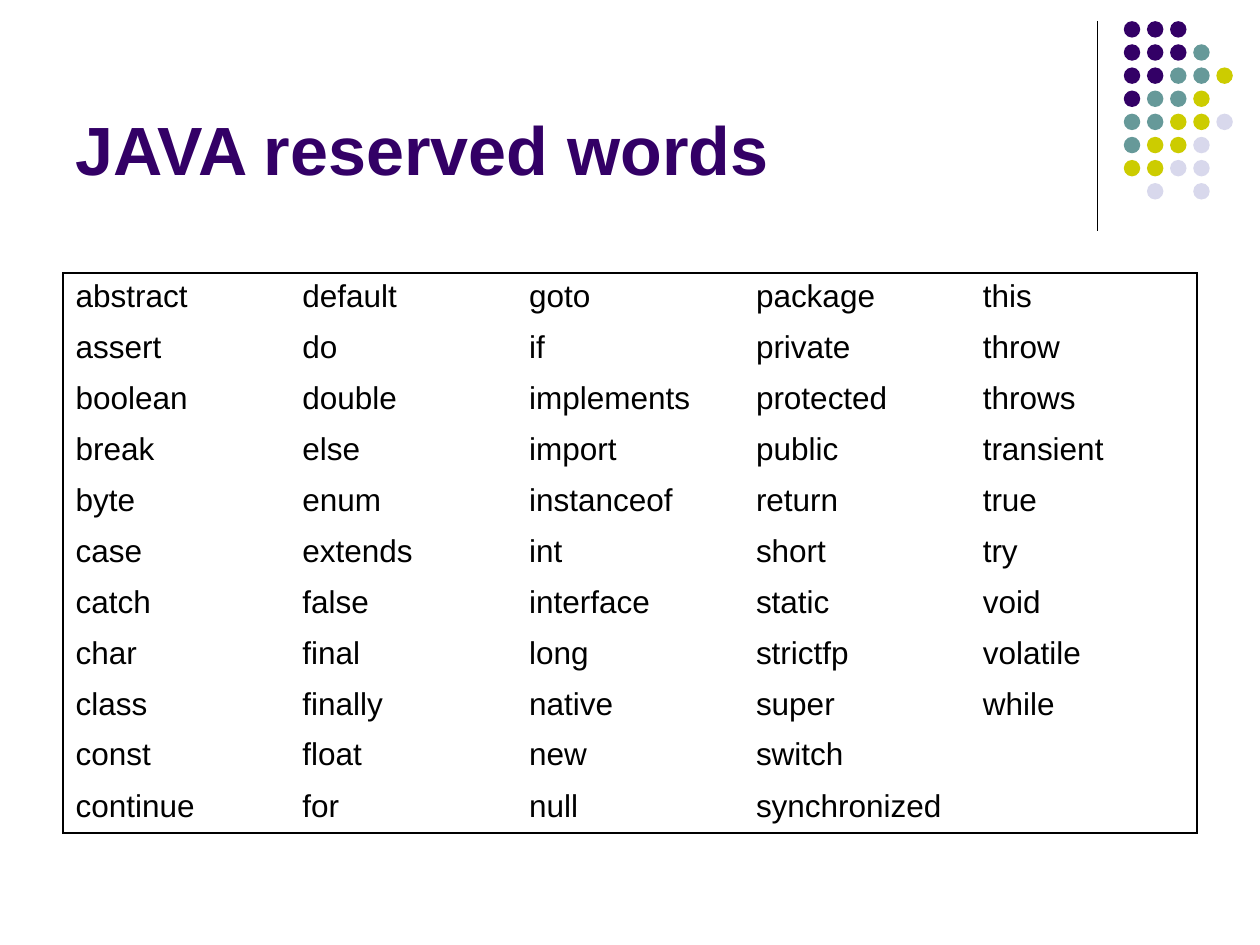
from lxml.etree import SubElement
from pptx import Presentation
from pptx.dml.color import RGBColor
from pptx.enum.shapes import MSO_CONNECTOR, MSO_SHAPE
from pptx.enum.text import MSO_ANCHOR, MSO_AUTO_SIZE, PP_ALIGN
from pptx.oxml.ns import qn
from pptx.util import Pt

BLACK = RGBColor(0x00, 0x00, 0x00)
PURPLE = RGBColor(0x33, 0x00, 0x66)
TEAL = RGBColor(0x66, 0x99, 0x99)
OLIVE = RGBColor(0xCC, 0xCC, 0x00)
LAVENDER = RGBColor(0xD8, 0xD8, 0xEC)

DOT_COLORS = {"P": PURPLE, "T": TEAL, "O": OLIVE, "L": LAVENDER}
DOT_ROWS = ["PPP", "PPPT", "PPTTO", "PTTO", "TTOOL", "TOOL", "OOLL", ".L.L"]
DOT_LEFT, DOT_TOP, DOT_SIZE, DOT_PITCH = 642.2, 12.1, 9.4, 13.22

WORD_COLUMNS = [
    "abstract assert boolean break byte case catch char class const continue",
    "default do double else enum extends false final finally float for",
    "goto if implements import instanceof int interface long native new null",
    "package private protected public return short static strictfp super switch synchronized",
    "this throw throws transient true try void volatile while",
]
ROW_COUNT = 11
COLUMN_WIDTH, ROW_HEIGHT = 129.6, 29.1
BORDER_WIDTH = 1.08


def write_text(frame, text, size, color, bold=False, space_before=0):
    paragraph = frame.paragraphs[0]
    paragraph.alignment = PP_ALIGN.LEFT
    paragraph.space_before = Pt(space_before)
    run = paragraph.add_run()
    run.text = text
    run.font.name = "Arial"
    run.font.size = Pt(size)
    run.font.bold = bold
    run.font.color.rgb = color


def add_title(slide, text):
    title = slide.shapes.title
    title.left, title.top = Pt(36), Pt(9.4)
    title.width, title.height = Pt(594), Pt(102.2)
    frame = title.text_frame
    frame.auto_size = MSO_AUTO_SIZE.NONE
    frame.word_wrap = True
    frame.vertical_anchor = MSO_ANCHOR.BOTTOM
    write_text(frame, text, size=39, color=PURPLE, bold=True)


def add_divider(slide):
    divider = slide.shapes.add_connector(
        MSO_CONNECTOR.STRAIGHT, Pt(627), Pt(12), Pt(627), Pt(132))
    divider.line.color.rgb = BLACK
    divider.line.width = Pt(0.74)
    SubElement(divider._element.spPr, qn("a:effectLst"))


def add_dot_pattern(slide):
    pattern = slide.shapes.add_group_shape()
    for row, codes in enumerate(DOT_ROWS):
        for column, code in enumerate(codes):
            if code not in DOT_COLORS:
                continue
            dot = pattern.shapes.add_shape(
                MSO_SHAPE.OVAL,
                Pt(DOT_LEFT + column * DOT_PITCH), Pt(DOT_TOP + row * DOT_PITCH),
                Pt(DOT_SIZE), Pt(DOT_SIZE))
            dot.shadow.inherit = False
            dot.fill.solid()
            dot.fill.fore_color.rgb = DOT_COLORS[code]
            dot.line.fill.background()


def set_borders(cell, visible_sides):
    properties = cell._tc.get_or_add_tcPr()
    for side, visible in visible_sides.items():
        border = SubElement(properties, qn(f"a:ln{side}"), w=str(Pt(BORDER_WIDTH)))
        if visible:
            fill = SubElement(border, qn("a:solidFill"))
            SubElement(fill, qn("a:srgbClr"), val=str(BLACK))
        else:
            SubElement(border, qn("a:noFill"))


def add_word_table(slide):
    column_count = len(WORD_COLUMNS)
    table = slide.shapes.add_table(
        ROW_COUNT, column_count, Pt(36), Pt(156),
        Pt(COLUMN_WIDTH * column_count), Pt(ROW_HEIGHT * ROW_COUNT)).table
    table.first_row = False
    table.horz_banding = False
    for row in table.rows:
        row.height = Pt(ROW_HEIGHT)
    for column, words in enumerate(WORD_COLUMNS):
        table.columns[column].width = Pt(COLUMN_WIDTH)
        for row in range(ROW_COUNT):
            cell = table.cell(row, column)
            set_borders(cell, {
                "L": column == 0,
                "R": column == column_count - 1,
                "T": row == 0,
                "B": row == ROW_COUNT - 1,
            })
            cell.fill.background()
        for row, word in enumerate(words.split()):
            write_text(table.cell(row, column).text_frame, word,
                       size=18, color=BLACK, space_before=4.5)


def main():
    presentation = Presentation()
    presentation.slide_width, presentation.slide_height = Pt(720), Pt(540)
    slide = presentation.slides.add_slide(presentation.slide_layouts[5])
    add_divider(slide)
    add_dot_pattern(slide)
    add_title(slide, "JAVA reserved words")
    add_word_table(slide)
    presentation.save("out.pptx")


main()
